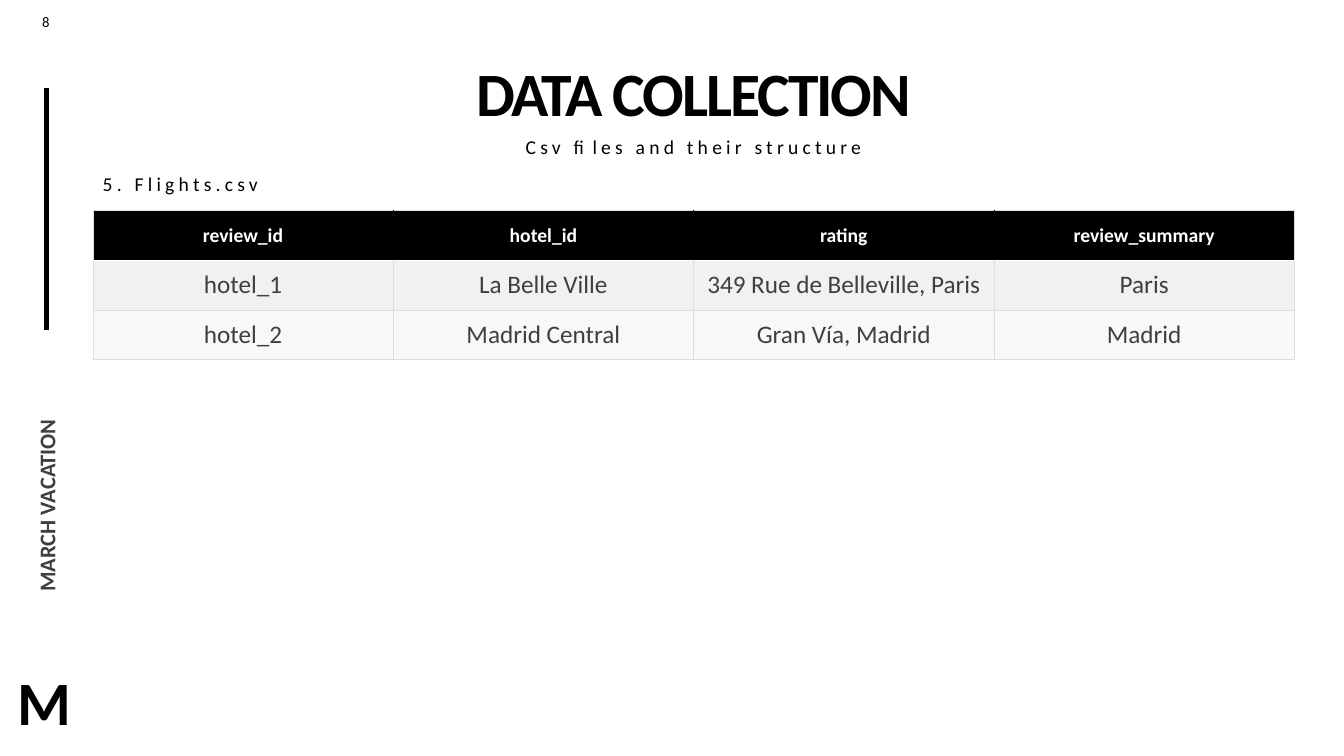
import pptx
import pptx.dml.color
import pptx.enum.shapes
import pptx.enum.text
import pptx.oxml.ns
import pptx.util
from lxml import etree

Cm = pptx.util.Cm
Pt = pptx.util.Pt
ALIGN = pptx.enum.text.PP_ALIGN
ANCHOR = pptx.enum.text.MSO_ANCHOR
qn = pptx.oxml.ns.qn

BLACK, WHITE, GREY, RULE = "000000", "FFFFFF", "3F3F3F", "DDDDDD"
ROW_FILLS = [BLACK, "F1F1F1", "F8F8F8"]
LEFT, WIDTH = 2.34, 30.28

HOTELS = [
    ["review_id", "hotel_id", "rating", "review_summary"],
    ["hotel_1", "La Belle Ville", "349 Rue de Belleville, Paris", "Paris"],
    ["hotel_2", "Madrid Central", "Gran Vía, Madrid", "Madrid"],
]


def rgb(code):
    return pptx.dml.color.RGBColor.from_string(code)


class SlideBuilder:
    """Holds the font and the slide being filled."""

    font = "Calibri"

    def __init__(self, slide):
        self.slide = slide

    def set_text(self, frame, text, size, color=BLACK, bold=False, align=ALIGN.CENTER,
                 spacing=0, line_spacing=None):
        """Fill a text frame; spacing is the letter spacing in points."""
        frame.text = text
        paragraph = frame.paragraphs[0]
        paragraph.alignment = align
        if line_spacing:
            paragraph.line_spacing = line_spacing
        run = paragraph.runs[0]
        run.font.name, run.font.size, run.font.bold = self.font, Pt(size), bold
        run.font.color.rgb = rgb(color)
        if spacing:
            run._r.get_or_add_rPr().set("spc", str(round(spacing * 100)))

    def place(self, holder, box, text, size, anchor=ANCHOR.MIDDLE, **style):
        holder.left, holder.top, holder.width, holder.height = map(Cm, box)
        frame = holder.text_frame
        frame.word_wrap = True
        frame.auto_size = pptx.enum.text.MSO_AUTO_SIZE.NONE
        frame.vertical_anchor = anchor
        self.set_text(frame, text, size, **style)
        return holder

    def title(self, box, text, size, **style):
        return self.place(self.slide.shapes.title, box, text, size, **style)

    def label(self, box, text, size, **style):
        holder = self.slide.shapes.add_textbox(0, 0, 0, 0)
        return self.place(holder, box, text, size, **style)

    def line(self, start, end, width):
        connector = self.slide.shapes.add_connector(
            pptx.enum.shapes.MSO_CONNECTOR.STRAIGHT, *map(Cm, start + end))
        connector.line.color.rgb = rgb(BLACK)
        connector.line.width = Pt(width)
        etree.SubElement(connector._element.spPr, qn("a:effectLst"))

    def cell_borders(self, cell, borders):
        """Draw (colour, width) borders in the order left, right, top, bottom."""
        properties = cell._tc.get_or_add_tcPr()
        for index, (side, (color, width)) in enumerate(zip("LRTB", borders)):
            border = etree.Element(qn(f"a:ln{side}"), w=str(Pt(width)))
            fill = etree.SubElement(border, qn("a:solidFill"))
            etree.SubElement(fill, qn("a:srgbClr"), val=color)
            properties.insert(index, border)

    def table(self, box, rows, fills):
        columns = len(rows[0])
        grid = self.slide.shapes.add_table(len(rows), columns, *map(Cm, box)).table
        thin, inner, divider = (RULE, 0.5), (BLACK, 0.5), (WHITE, 1)
        for r, values in enumerate(rows):
            header = r == 0
            for c, value in enumerate(values):
                cell = grid.cell(r, c)
                cell.vertical_anchor = ANCHOR.MIDDLE
                cell.fill.solid()
                cell.fill.fore_color.rgb = rgb(fills[r])
                self.set_text(cell.text_frame, value, 14 if header else 18,
                              color=WHITE if header else GREY, bold=header)
                self.cell_borders(cell, [
                    inner if header and c > 0 else thin,
                    inner if header and c < columns - 1 else thin,
                    divider if r == 1 else thin,
                    divider if header else thin,
                ])


def main():
    deck = pptx.Presentation()
    deck.slide_width, deck.slide_height = Cm(33.87), Cm(19.05)
    page = SlideBuilder(deck.slides.add_slide(deck.slide_layouts[5]))

    page.line((1.17, 8.31), (1.17, 2.21), 3)
    page.label((0.43, 0.2, 1.45, 0.69), "8", 10.5, anchor=ANCHOR.TOP)
    page.title((LEFT, 0, WIDTH, 3.4), "DATA COLLECTION", 44, anchor=ANCHOR.BOTTOM,
               bold=True, spacing=-1.5, line_spacing=0.9)
    event = page.label((-1.88, 11.71, 6.1, 0.79), "MARCH VACATION", 16,
                       color=GREY, bold=True, align=ALIGN.LEFT)
    event.rotation = 270
    monogram = page.label((0.36, 16.66, 1.5, 1.98), "M", 44, bold=True)
    monogram.text_frame.margin_left = monogram.text_frame.margin_right = 0
    page.label((LEFT, 3.28, WIDTH, 0.89), "Csv files and their structure", 14,
               spacing=3, line_spacing=0.9)
    page.table((LEFT, 5.31, WIDTH, 3.75), HOTELS, ROW_FILLS)
    page.label((LEFT, 4.22, WIDTH, 0.89), "5. Flights.csv", 14,
               align=ALIGN.LEFT, spacing=3, line_spacing=0.9)

    deck.save("out.pptx")


if __name__ == "__main__":
    main()
